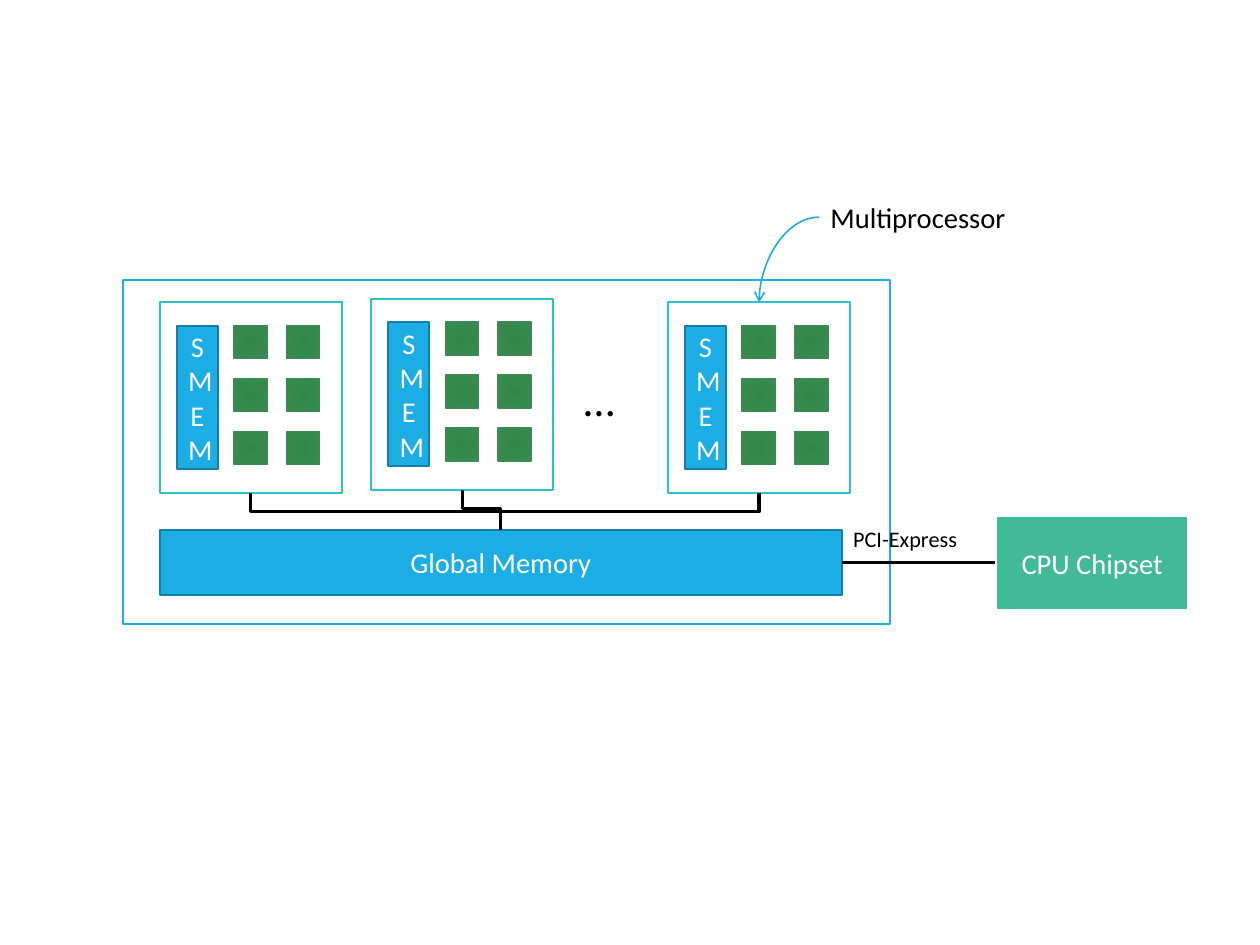
from dataclasses import dataclass

from lxml import etree
from pptx import Presentation
from pptx.dml.color import RGBColor
from pptx.enum import shapes, text
from pptx.oxml import ns
from pptx.util import Pt


@dataclass(frozen=True)
class Theme:
    font: str = "Calibri"
    white: str = "FFFFFF"
    black: str = "000000"
    blue: str = "1CADE4"
    dark_blue: str = "147FA8"
    teal: str = "28C4CC"
    chipset: str = "42BA97"
    core_centre: str = "2F8849"
    core_rim: str = "398B50"
    core_edge: str = "3E8853"
    body: int = 18
    small: int = 14
    dots: int = 28
    frame_width: float = 1.25
    thin_line: float = 1
    thick_line: float = 2


THEME = Theme()

# Lengths are points; frames are left, top, width, height.
SLIDE_SIZE = (793.7, 595.28)
CHIPSET = ("CPU Chipset", (627.1, 324.7, 121.7, 59.8))
BOARD = (77.8, 176.4, 482.8, 216.9)
MEMORY = ("Global Memory", (100.8, 333.8, 429.4, 41))
LABELS = [
    ("PCI-Express", (530.3, 327.3, 100.8, 23.8), THEME.small),
    ("…", (360.7, 231.1, 44.6, 41), THEME.dots),
    ("Multiprocessor", (516, 122.4, 171.4, 28.8), THEME.body),
]
PROCESSOR_SIZE = (114.5, 120.2)
# Left, top, and share of the bus drop above its bend
PROCESSORS = [(100.8, 190.5, 0.5), (234, 188.4, 0.456), (420.9, 190.5, 0.5)]
SHARED_MEMORY = ("SMEM", (10.6, 14.6, 25.9, 90.7))
CORE_START = (46.6, 14.5)
CORE_PITCH = (33.1, 33.4)
CORE_SIZE = 20.9
CORE_COLUMNS, CORE_ROWS = 2, 3
POINTER_START = (516, 136.8)
LINK_Y = 354.4


def colour(code):
    return RGBColor.from_string(code)


def write(shape, words, size, ink):
    frame = shape.text_frame
    frame.word_wrap = True
    para = frame.paragraphs[0]
    para.text = words
    para.font.name = THEME.font
    para.font.size = Pt(size)
    para.font.color.rgb = colour(ink)
    return frame, para


def add_box(page, frame, fill, edge, width=THEME.frame_width, words=""):
    box = page.shapes.add_shape(shapes.MSO_SHAPE.RECTANGLE, *map(Pt, frame))
    box.shadow.inherit = False
    box.fill.solid()
    box.fill.fore_color.rgb = colour(fill)
    box.line.color.rgb = colour(edge)
    box.line.width = Pt(width)
    if words:
        content, para = write(box, words, THEME.body, THEME.white)
        content.vertical_anchor = text.MSO_ANCHOR.MIDDLE
        para.alignment = text.PP_ALIGN.CENTER
    return box


def add_label(page, words, frame, size):
    label = page.shapes.add_textbox(*map(Pt, frame))
    content, _ = write(label, words, size, THEME.black)
    content.auto_size = text.MSO_AUTO_SIZE.SHAPE_TO_FIT_TEXT


def add_core(page, left, top):
    """Add a square with a radial gradient."""
    core = add_box(page, (left, top, CORE_SIZE, CORE_SIZE),
                   THEME.core_rim, THEME.core_edge, THEME.thin_line)
    core.fill.gradient()
    for stop, code in zip(core.fill.gradient_stops,
                          (THEME.core_centre, THEME.core_rim)):
        stop.color.rgb = colour(code)
    linear = core._element.spPr.find(".//" + ns.qn("a:lin"))
    radial = etree.Element(ns.qn("a:path"), {"path": "circle"})
    etree.SubElement(radial, ns.qn("a:fillToRect"),
                     {side: "50000" for side in "ltrb"})
    linear.getparent().replace(linear, radial)


def add_processor(page, left, top):
    add_box(page, (left, top, *PROCESSOR_SIZE), THEME.white, THEME.teal)
    words, (dx, dy, width, height) = SHARED_MEMORY
    add_box(page, (left + dx, top + dy, width, height),
            THEME.blue, THEME.dark_blue, words=words)
    for column in range(CORE_COLUMNS):
        for row in range(CORE_ROWS):
            add_core(page, left + CORE_START[0] + column * CORE_PITCH[0],
                     top + CORE_START[1] + row * CORE_PITCH[1])


def add_line(page, kind, start, end, ink, width):
    line = page.shapes.add_connector(kind, *map(Pt, (*start, *end)))
    line.line.color.rgb = colour(ink)
    line.line.width = Pt(width)
    properties = line._element.spPr
    etree.SubElement(properties, ns.qn("a:effectLst"))
    return line, properties


def add_pointer(page, start, end):
    """Add a quarter-curve arrow that leaves sideways and arrives downward."""
    _, properties = add_line(page, shapes.MSO_CONNECTOR.CURVE, start, end,
                             THEME.blue, THEME.thin_line)
    properties.find(ns.qn("a:prstGeom")).set("prst", "curvedConnector2")
    etree.SubElement(properties.find(ns.qn("a:ln")), ns.qn("a:tailEnd"),
                     {"type": "arrow"})


def add_bus(page, start, end, bend):
    """Add an elbow that runs down, across and down, as a quarter-turned connector."""
    middle_x, middle_y = (start[0] + end[0]) / 2, (start[1] + end[1]) / 2
    half_drop, half_run = (end[1] - start[1]) / 2, (start[0] - end[0]) / 2
    _, properties = add_line(
        page, shapes.MSO_CONNECTOR.ELBOW,
        (middle_x - half_drop, middle_y - half_run),
        (middle_x + half_drop, middle_y + half_run),
        THEME.black, THEME.thick_line)
    properties.find(ns.qn("a:xfrm")).set("rot", "5400000")
    guides = properties.find(".//" + ns.qn("a:avLst"))
    etree.SubElement(guides, ns.qn("a:gd"),
                     {"name": "adj1", "fmla": f"val {round(bend * 100000)}"})


def main():
    deck = Presentation()
    deck.slide_width, deck.slide_height = map(Pt, SLIDE_SIZE)
    page = deck.slides.add_slide(deck.slide_layouts[6])

    chipset_words, chipset = CHIPSET
    memory_words, memory = MEMORY
    add_box(page, chipset, THEME.chipset, THEME.white, THEME.thick_line, chipset_words)
    add_box(page, BOARD, THEME.white, THEME.blue)
    add_box(page, memory, THEME.blue, THEME.dark_blue, words=memory_words)
    add_line(page, shapes.MSO_CONNECTOR.STRAIGHT, (memory[0] + memory[2], LINK_Y),
             (chipset[0], LINK_Y), THEME.black, THEME.thick_line)

    for left, top, _ in PROCESSORS:
        add_processor(page, left, top)
    for label in LABELS:
        add_label(page, *label)

    width, height = PROCESSOR_SIZE
    last_left, last_top, _ = PROCESSORS[-1]
    add_pointer(page, POINTER_START, (last_left + width / 2, last_top))
    memory_top = (memory[0] + memory[2] / 2, memory[1])
    for left, top, bend in PROCESSORS:
        add_bus(page, (left + width / 2, top + height), memory_top, bend)

    deck.save("out.pptx")


if __name__ == "__main__":
    main()
